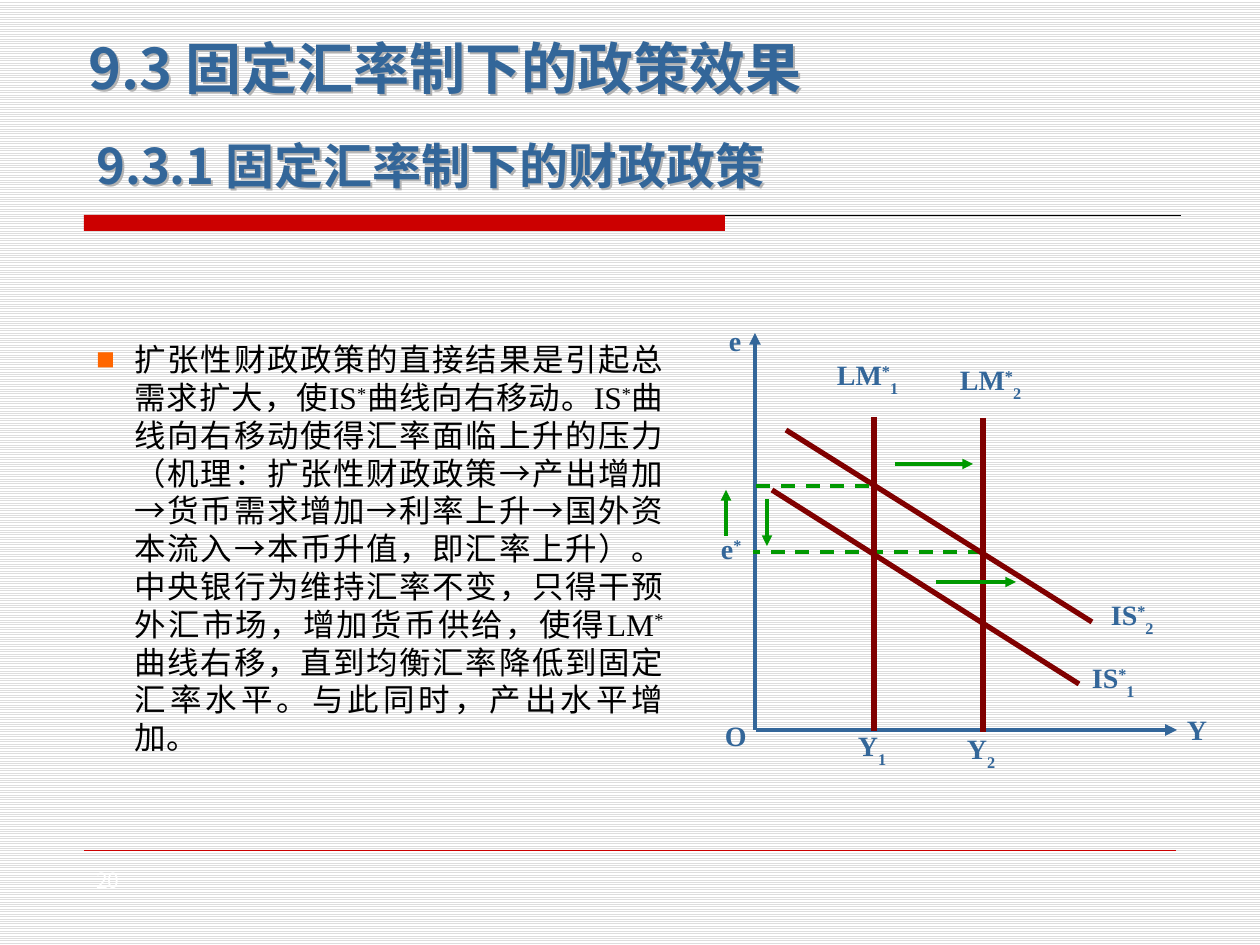
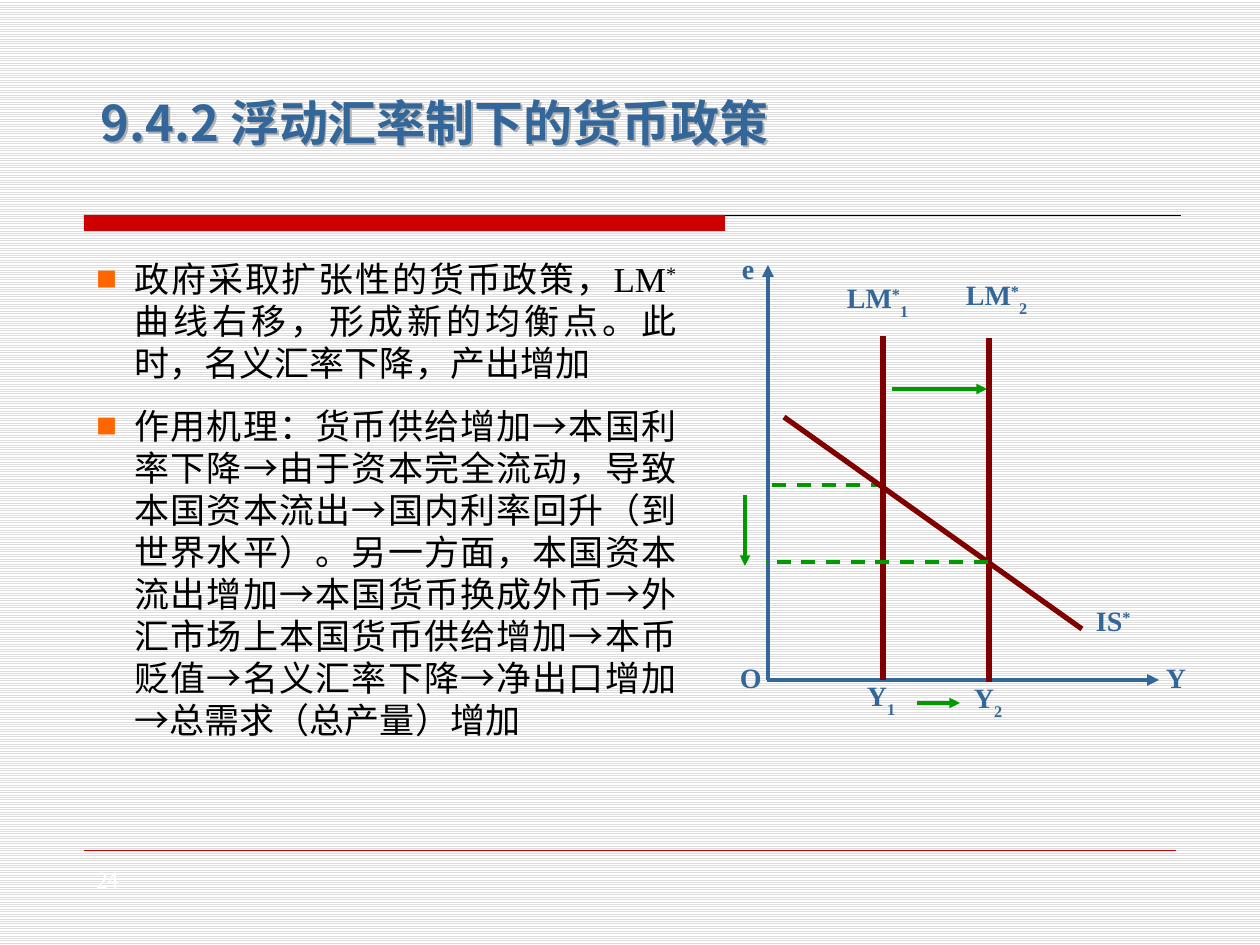
"""Build two slides on fiscal and monetary policy under fixed and floating exchange rates."""
from itertools import groupby

from lxml import etree
from pptx import Presentation
from pptx.dml.color import RGBColor
from pptx.enum.dml import MSO_LINE, MSO_PATTERN
from pptx.enum.shapes import MSO_CONNECTOR, MSO_SHAPE
from pptx.enum.text import MSO_ANCHOR, MSO_AUTO_SIZE, PP_ALIGN
from pptx.oxml.ns import qn
from pptx.util import Emu, Pt

PX = 914400 / 126
COLORS = {
    "blue": "336699", "red": "CC0000", "maroon": "800000", "green": "009900",
    "orange": "FF6600", "stripe": "DDDDDD", "shadow": "B2B2B2",
    "black": "000000", "white": "FFFFFF",
}
CHINESE = "Noto Sans CJK SC"
LATIN = "Times New Roman"
LINE_STYLES = {
    "axis": ("blue", 2.25, False, True),
    "curve": ("maroon", 3, False, False),
    "guide": ("green", 2, True, False),
    "shift": ("green", 2, False, True),
    "rule": ("black", 0.5, False, False),
    "footer": ("red", 0.25, False, False),
}
SLIDES = [
    {
        "number": "20",
        "headings": [
            ("9.3 固定汇率制下的政策效果", 32, 0.8, (76, 36, 839, 74)),
            ("9.3.1 固定汇率制下的财政政策", 28, 0.9, (84, 139, 859, 59)),
        ],
        "body_box": (84, 334, 592, 446),
        "body_size": 18,
        "body": [
            "扩张性财政政策的直接结果是引起总需求扩大，使IS*曲线向右移动。IS*曲线向右移动使得"
            "汇率面临上升的压力（机理：扩张性财政政策→产出增加→货币需求增加→利率上升→国外资本"
            "流入→本币升值，即汇率上升）。中央银行为维持汇率不变，只得干预外汇市场，增加货币供给，"
            "使得LM*曲线右移，直到均衡汇率降低到固定汇率水平。与此同时，产出水平增加。",
        ],
        "lines": [
            ("axis", 755, 730, 755, 333), ("axis", 756, 730, 1177, 730),
            ("guide", 982, 552, 753, 552),
            ("curve", 983, 418, 983, 732), ("curve", 874, 417, 874, 731),
            ("curve", 786, 430, 1092, 622), ("curve", 772, 490, 1079, 684),
            ("guide", 869, 486, 756, 486),
            ("shift", 936, 582, 1016, 582), ("shift", 895, 464, 973, 464),
            ("shift", 726, 536, 726, 490), ("shift", 767, 499, 767, 546),
        ],
        "labels": [
            ("e", 729, 324), ("O", 725, 719), ("Y1", 858, 729), ("Y2", 967, 732),
            ("Y", 1187, 713), ("IS*2", 1111, 598), ("LM*1", 837, 358),
            ("LM*2", 960, 363), ("IS*1", 1092, 661), ("e*", 721, 532),
        ],
    },
    {
        "number": "24",
        "headings": [("9.4.2 浮动汇率制下的货币政策", 28, 0.9, (88, 96, 859, 59))],
        "body_box": (84, 251, 605, 578),
        "body_size": 20,
        "body": [
            "政府采取扩张性的货币政策，LM*曲线右移，形成新的均衡点。此时，名义汇率下降，产出增加",
            "作用机理：货币供给增加→本国利率下降→由于资本完全流动，导致本国资本流出→国内利率回升"
            "（到世界水平）。另一方面，本国资本流出增加→本国货币换成外币→外汇市场上本国货币供给增加"
            "→本币贬值→名义汇率下降→净出口增加→总需求（总产量）增加",
        ],
        "lines": [
            ("axis", 768, 680, 768, 265), ("axis", 767, 680, 1159, 680),
            ("guide", 885, 485, 766, 485),
            ("curve", 989, 338, 989, 682), ("curve", 883, 336, 883, 680),
            ("curve", 784, 417, 1082, 629),
            ("shift", 892, 389, 987, 389), ("guide", 988, 562, 766, 562),
            ("shift", 917, 703, 960, 703), ("shift", 745, 495, 745, 566),
        ],
        "labels": [
            ("e", 742, 252), ("O", 740, 661), ("Y1", 867, 679), ("Y2", 974, 681),
            ("Y", 1166, 661), ("LM*1", 847, 281), ("LM*2", 966, 278),
            ("IS*", 1096, 604),
        ],
    },
]


def px(*lengths):
    """Turn lengths in px into EMU."""
    return [Emu(round(length * PX)) for length in lengths]


def style_run(run, font, size, color, bold=False):
    """Set the face, size and colour of a run for Latin and Chinese text."""
    run.font.size = Pt(size)
    run.font.bold = bold
    run.font.color.rgb = RGBColor.from_string(COLORS[color])
    run.font.name = font
    latin = run.font._element.find(qn("a:latin"))
    east_asian = etree.Element(qn("a:ea"), typeface=font)
    latin.addnext(east_asian)


presentation = Presentation()
presentation.slide_width, presentation.slide_height = px(1260, 945)
background = presentation.slide_master.background.fill
background.patterned()
background.pattern = MSO_PATTERN.LIGHT_HORIZONTAL
background.fore_color.rgb = RGBColor.from_string(COLORS["stripe"])
background.back_color.rgb = RGBColor.from_string(COLORS["white"])

for content in SLIDES:
    slide = presentation.slides.add_slide(presentation.slide_layouts[1])
    title, body = slide.placeholders[0], slide.placeholders[1]

    band = slide.shapes.add_shape(MSO_SHAPE.RECTANGLE, *px(84, 215, 641, 16))
    band.shadow.inherit = False
    band.fill.solid()
    band.fill.fore_color.rgb = RGBColor.from_string(COLORS["red"])
    band.line.fill.background()

    for index, (text, size, spacing, box) in enumerate(content["headings"]):
        heading = title if index == 0 else slide.shapes.add_textbox(*px(*box))
        heading.left, heading.top, heading.width, heading.height = px(*box)
        heading.fill.background()
        effects = etree.SubElement(heading._element.spPr, qn("a:effectLst"))
        shadow = etree.SubElement(effects, qn("a:outerShdw"), dist="20000", dir="2700000")
        etree.SubElement(shadow, qn("a:srgbClr"), val=COLORS["shadow"])
        frame = heading.text_frame
        frame.text = text
        frame.word_wrap = True
        frame.auto_size = MSO_AUTO_SIZE.NONE
        frame.vertical_anchor = MSO_ANCHOR.MIDDLE
        paragraph = frame.paragraphs[0]
        paragraph.alignment = PP_ALIGN.LEFT
        paragraph.line_spacing = spacing
        style_run(paragraph.runs[0], CHINESE, size, "blue", True)

    mixed_texts = []
    body.left, body.top, body.width, body.height = px(*content["body_box"])
    body.text_frame.auto_size = MSO_AUTO_SIZE.NONE
    body.text_frame.vertical_anchor = MSO_ANCHOR.TOP
    for index, text in enumerate(content["body"]):
        frame = body.text_frame
        paragraph = frame.add_paragraph() if index else frame.paragraphs[0]
        paragraph.alignment = PP_ALIGN.JUSTIFY
        paragraph.line_spacing = Pt(content["body_size"] * 1.2)
        paragraph.space_before = Pt(12)
        properties = paragraph._p.get_or_add_pPr()
        indent = px(38)[0]
        properties.set("marL", str(indent))
        properties.set("indent", str(-indent))
        properties.set("hangingPunct", "0")
        bullet_color = etree.SubElement(properties, qn("a:buClr"))
        etree.SubElement(bullet_color, qn("a:srgbClr"), val=COLORS["orange"])
        etree.SubElement(properties, qn("a:buSzPct"), val="60000")
        etree.SubElement(properties, qn("a:buFont"), typeface=CHINESE)
        etree.SubElement(properties, qn("a:buChar"), char="■")
        mixed_texts.append((paragraph, text, content["body_size"], "black", False))

    shared_lines = [("rule", 725, 215, 1181, 215), ("footer", 84, 850, 1176, 850)]
    for kind, *ends in shared_lines + content["lines"]:
        color, width, dashed, arrow = LINE_STYLES[kind]
        connector = slide.shapes.add_connector(MSO_CONNECTOR.STRAIGHT, *px(*ends))
        connector.line.color.rgb = RGBColor.from_string(COLORS[color])
        connector.line.width = Pt(width)
        if dashed:
            connector.line.dash_style = MSO_LINE.DASH
        if arrow:
            line_element = connector.line._get_or_add_ln()
            etree.SubElement(line_element, qn("a:tailEnd"), type="triangle")
        etree.SubElement(connector._element.spPr, qn("a:effectLst"))

    for text, left, top in content["labels"]:
        label = slide.shapes.add_textbox(*px(left, top, 78, 48))
        frame = label.text_frame
        frame.word_wrap = True
        frame.margin_left = frame.margin_top = frame.margin_right = frame.margin_bottom = 0
        mixed_texts.append((frame.paragraphs[0], text, 16, "blue", True))

    for paragraph, text, size, color, bold in mixed_texts:
        for (is_latin, baseline), letters in groupby(
            text, lambda letter: (letter.isascii(), 30000 * ((letter == "*") - letter.isdigit()))
        ):
            run = paragraph.add_run()
            run.text = "".join(letters)
            style_run(run, LATIN if is_latin else CHINESE, size, color, bold)
            if baseline:
                run.font._element.set("baseline", str(baseline))

    page_number = slide.shapes.add_textbox(*px(84, 860, 126, 40))
    page_number.text_frame.text = content["number"]
    page_number.text_frame.word_wrap = True
    page_number.text_frame.vertical_anchor = MSO_ANCHOR.MIDDLE
    style_run(page_number.text_frame.paragraphs[0].runs[0], CHINESE, 12, "white")

presentation.save("out.pptx")
